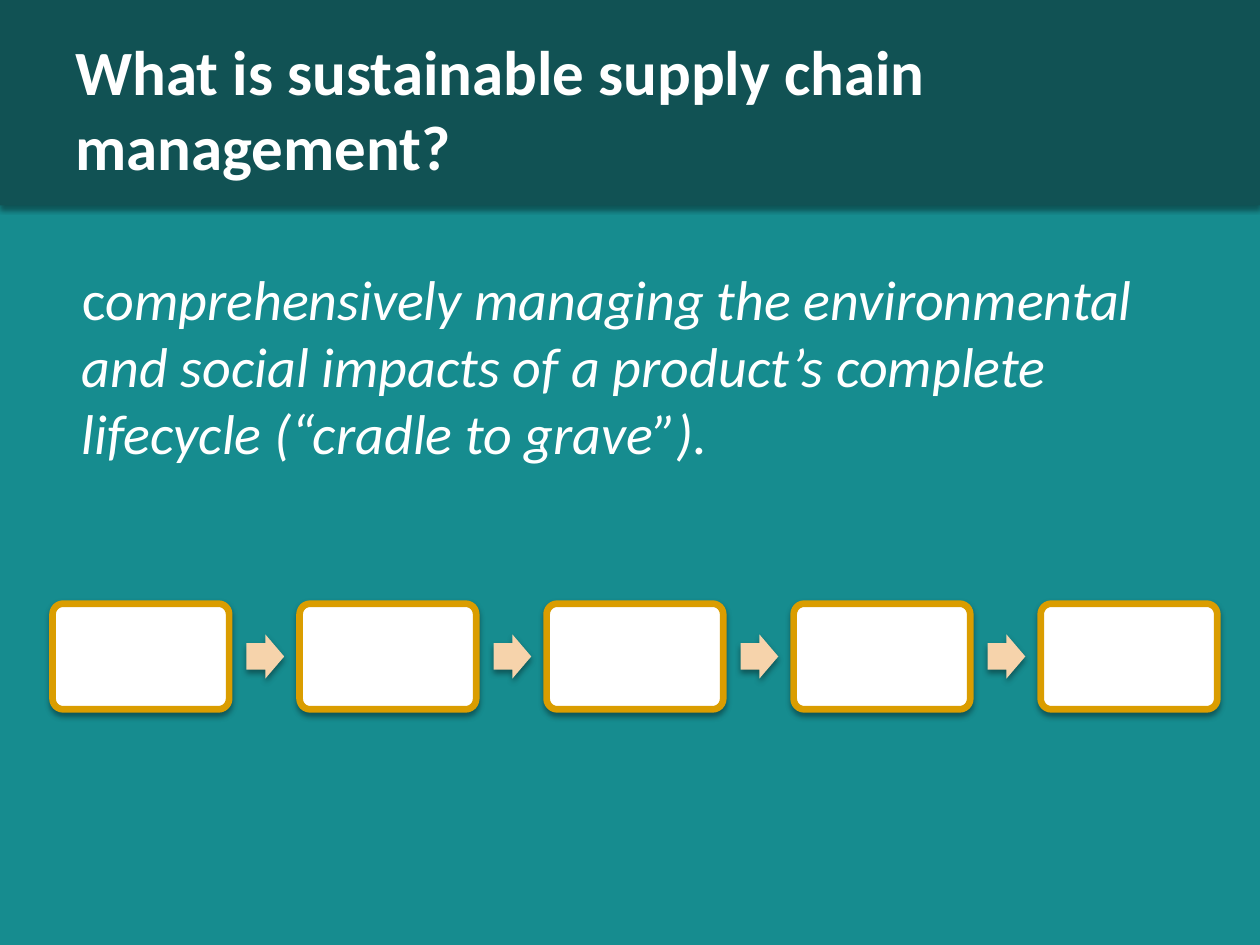
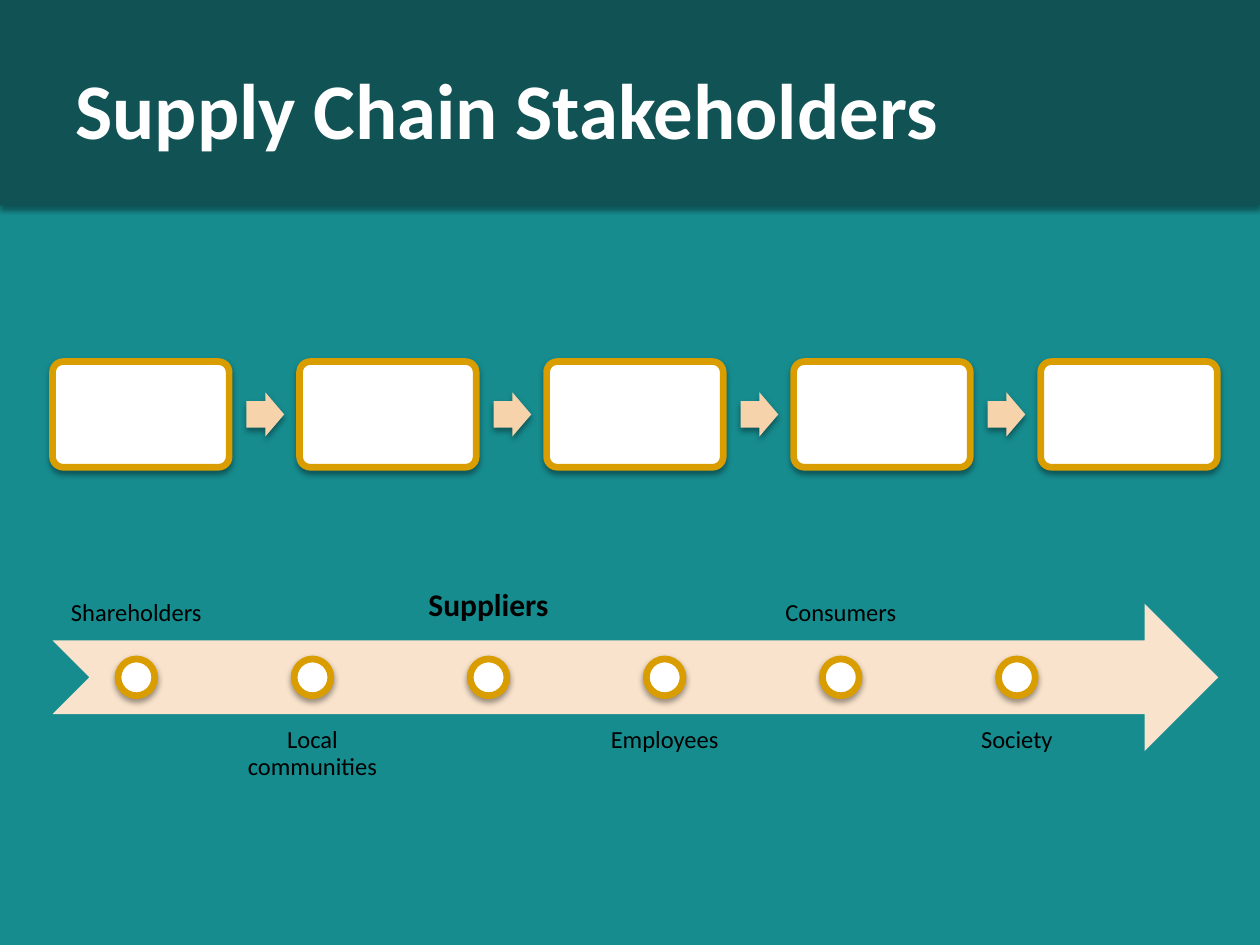
from lxml.etree import SubElement
from pptx import Presentation
from pptx.dml.color import RGBColor
from pptx.enum.shapes import MSO_SHAPE
from pptx.enum.text import MSO_ANCHOR, MSO_AUTO_SIZE, PP_ALIGN
from pptx.oxml.ns import qn
from pptx.util import Cm, Pt

TEAL = RGBColor(0x16, 0x8C, 0x8F)
DARK_TEAL = RGBColor(0x11, 0x52, 0x54)
GOLD = RGBColor(0xDA, 0x9D, 0x00)
PEACH = RGBColor(0xF6, 0xD3, 0xAB)
PALE_PEACH = RGBColor(0xF9, 0xE3, 0xCC)
WHITE = RGBColor(0xFF, 0xFF, 0xFF)
BLACK = RGBColor(0x00, 0x00, 0x00)
FONT = "Calibri"

DEFINITION_TITLE = "What is sustainable supply chain management?"
DEFINITION = [
    ("c", False),
    ("omprehensively managing the environmental and social impacts of a "
     "product’s complete lifecycle (“cradle to grave”).", True),
]
STAKEHOLDERS_TITLE = "Supply Chain Stakeholders"
STAKEHOLDERS = ["Shareholders", "Local communities", "Suppliers",
                "Employees", "Consumers", "Society"]
HIGHLIGHT = "Suppliers"

LEFT = 1.06
STAGES, STAGE_W, STAGE_H, STAGE_STEP = 5, 3.56, 2.13, 4.98
ARROW_X, ARROW_W, ARROW_H = 3.91, 0.76, 0.89
LINE_TOP, LINE_W, LINE_H = 12.17, 23.5, 2.97
LABEL_W, LABEL_STEP, DOT = 3.38, 3.55, 0.74
LABEL_TOPS = (9.94, 14.39)


def style_font(font, size, color, bold=False, italic=False):
    font.name, font.size, font.bold, font.italic = FONT, Pt(size), bold, italic
    font.color.rgb = color


def set_insets(tf, left, top, right, bottom):
    tf.margin_left, tf.margin_top = Cm(left), Cm(top)
    tf.margin_right, tf.margin_bottom = Cm(right), Cm(bottom)


def place(sp, x, y, w, h):
    sp.left, sp.top, sp.width, sp.height = Cm(x), Cm(y), Cm(w), Cm(h)


def add_shadow(sp, blur):
    effects = sp.element.spPr.find(qn("a:effectLst"))
    shadow = SubElement(effects, qn("a:outerShdw"), blurRad=str(Pt(blur)),
                        dist=str(Pt(2)), dir="5400000", rotWithShape="0")
    color = SubElement(shadow, qn("a:srgbClr"), val=str(BLACK))
    SubElement(color, qn("a:alpha"), val="38000")


def add_shape(shapes, kind, x, y, w, h, fill, line=None, blur=3.5, adj=()):
    sp = shapes.add_shape(kind, Cm(x), Cm(y), Cm(w), Cm(h))
    for i, value in enumerate(adj):
        sp.adjustments[i] = value
    sp.fill.solid()
    sp.fill.fore_color.rgb = fill
    if line is None:
        sp.line.fill.background()
    else:
        sp.line.color.rgb = line
        sp.line.width = Pt(3.82)
    sp.shadow.inherit = False
    if blur:
        add_shadow(sp, blur)
    return sp


def add_master_look(prs, s):
    master = prs.slide_master
    master.background.fill.solid()
    master.background.fill.fore_color.rgb = TEAL
    band = add_shape(s.shapes, MSO_SHAPE.RECTANGLE, 0, 0, 25.4, 4.14,
                     DARK_TEAL, blur=3.1)
    band.element.nvSpPr.cNvPr.set("id", "100")
    master.shapes.element.insert(2, band.element)


def set_title(s, text, size):
    title = s.shapes.title
    place(title, 1.27, 0.43, 22.86, 3.48)
    tf = title.text_frame
    tf.text = text
    tf.auto_size = MSO_AUTO_SIZE.NONE
    tf.vertical_anchor = MSO_ANCHOR.MIDDLE
    set_insets(tf, 0.25, 0.13, 0.13, 0.13)
    p = tf.paragraphs[0]
    p.alignment = PP_ALIGN.LEFT
    style_font(p.runs[0].font, size, WHITE, bold=True)


def set_definition(s):
    body = s.placeholders[1]
    place(body, 1.17, 5.08, 23.29, 4.88)
    tf = body.text_frame
    tf.auto_size = MSO_AUTO_SIZE.NONE
    set_insets(tf, 0.15, 0.25, 0.25, 0.13)
    p = tf.paragraphs[0]
    p.space_before = Pt(0)
    pPr = p._p.get_or_add_pPr()
    pPr.set("marL", str(Cm(0.33)))
    pPr.set("indent", "0")
    SubElement(pPr, qn("a:buNone"))
    for text, italic in DEFINITION:
        r = p.add_run()
        r.text = text
        style_font(r.font, 32, WHITE, italic=italic)


def add_stages(s, top):
    shapes = s.shapes.add_group_shape().shapes
    for i in range(STAGES):
        x = LEFT + i * STAGE_STEP
        add_shape(shapes, MSO_SHAPE.ROUNDED_RECTANGLE, x, top, STAGE_W, STAGE_H,
                  WHITE, GOLD, adj=(0.1,))
        if i < STAGES - 1:
            add_shape(shapes, MSO_SHAPE.RIGHT_ARROW, x + ARROW_X,
                      top + (STAGE_H - ARROW_H) / 2, ARROW_W, ARROW_H,
                      PEACH, adj=(0.6, 0.5))


def add_label(shapes, text, x, below):
    box = shapes.add_textbox(Cm(x), Cm(LABEL_TOPS[below]), Cm(LABEL_W), Cm(LINE_H))
    tf = box.text_frame
    tf.text = text
    tf.word_wrap = True
    tf.vertical_anchor = MSO_ANCHOR.TOP if below else MSO_ANCHOR.BOTTOM
    bold = text == HIGHLIGHT
    set_insets(tf, *[0.36 if bold else 0.28] * 4)
    p = tf.paragraphs[0]
    p.alignment = PP_ALIGN.CENTER
    p.line_spacing = 0.9
    style_font(p.runs[0].font, 18 if bold else 14, BLACK, bold)


def add_timeline(s):
    shapes = s.shapes.add_group_shape().shapes
    add_shape(shapes, MSO_SHAPE.NOTCHED_RIGHT_ARROW, LEFT, LINE_TOP, LINE_W, LINE_H,
              PALE_PEACH, blur=0)
    for i, name in enumerate(STAKEHOLDERS):
        x = LEFT + i * LABEL_STEP
        add_label(shapes, name, x, below=i % 2)
        add_shape(shapes, MSO_SHAPE.OVAL, x + (LABEL_W - DOT) / 2,
                  LINE_TOP + (LINE_H - DOT) / 2, DOT, DOT, WHITE, GOLD)


def main():
    prs = Presentation()
    prs.slide_width, prs.slide_height = Cm(25.4), Cm(19.05)

    s = prs.slides.add_slide(prs.slide_layouts[1])
    add_master_look(prs, s)
    set_title(s, DEFINITION_TITLE, 36)
    set_definition(s)
    add_stages(s, 12.17)

    s = prs.slides.add_slide(prs.slide_layouts[5])
    set_title(s, STAKEHOLDERS_TITLE, 45)
    add_stages(s, 7.29)
    add_timeline(s)

    prs.save("out.pptx")


if __name__ == "__main__":
    main()
